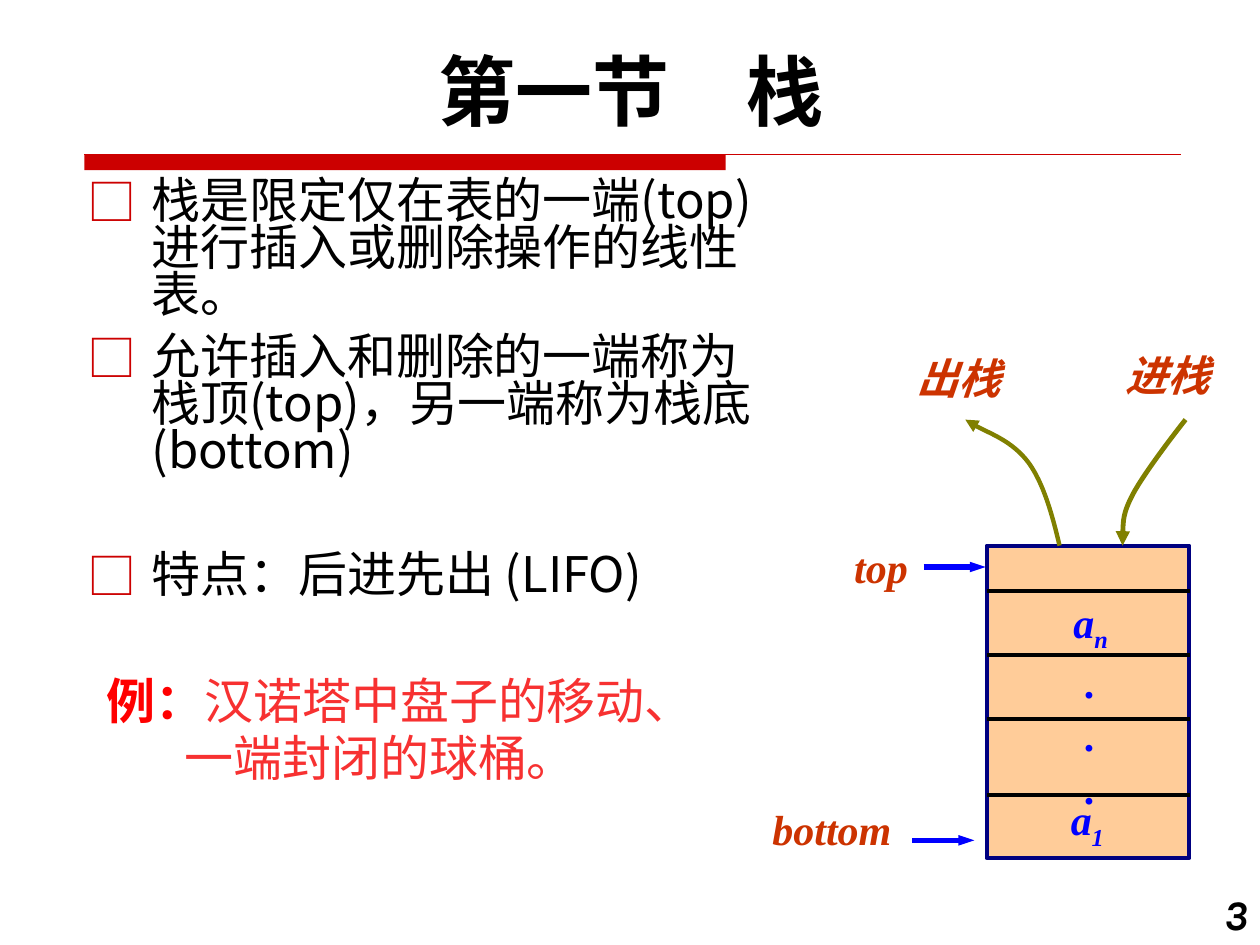
from lxml.etree import SubElement
from pptx import Presentation
from pptx.dml.color import RGBColor
from pptx.enum.shapes import MSO_CONNECTOR as Link, MSO_SHAPE as Kind
from pptx.enum.text import MSO_ANCHOR as Anchor, PP_ALIGN as Align
from pptx.oxml.ns import qn
from pptx.util import Cm, Pt

RED, INK, BLUE, RUST, OLIVE = "CC0000", "000000", "0000FF", "CC3300", "808000"
SANS, SERIF = "Noto Sans CJK SC", "Times New Roman"


def color(code):
    """Turn a hex string into a colour."""
    return RGBColor.from_string(code)


def place(shape, box):
    """Move a shape to a box given in centimetres."""
    shape.left, shape.top, shape.width, shape.height = map(Cm, box)


def write(frame, rows, size=24, font=SERIF, ink=INK, bold=False, slant=False,
          align=Align.LEFT, lead=None, gap=0, wrap=True):
    """Fill a frame with rows of (text, changes) runs and return its paragraphs."""
    frame.word_wrap = wrap
    for i, row in enumerate(rows):
        para = frame.paragraphs[0] if i == 0 else frame.add_paragraph()
        para.alignment, para.line_spacing = align, lead
        para.space_before = Pt(gap if i else 0)
        for text, change in row:
            run = para.add_run()
            run.text = text
            style = run.font
            style.size, style.italic = Pt(size), slant
            style.name = change.get("font", font)
            style.bold = change.get("bold", bold)
            style.color.rgb = color(change.get("ink", ink))
            if "base" in change:
                style._element.set("baseline", str(change["base"]))
    return frame.paragraphs


def label(slide, box, rows, **form):
    """Add a text box and write rows in it."""
    item = slide.shapes.add_textbox(*map(Cm, box))
    return write(item.text_frame, rows, **form)


def stroke(shape, ink, width, tip=None):
    """Set a line's colour and width, and an arrowhead at its end."""
    shape.line.color.rgb = color(ink)
    shape.line.width = Pt(width)
    if tip:
        SubElement(shape.line._get_or_add_ln(), qn("a:tailEnd"),
                   type="triangle", w=tip, len="med")


def line(slide, start, end, ink, width, tip=None):
    """Draw a straight line between two points."""
    item = slide.shapes.add_connector(Link.STRAIGHT, *map(Cm, start + end))
    SubElement(item._element.spPr, qn("a:effectLst"))
    stroke(item, ink, width, tip)


def block(slide, box, fill):
    """Add a plain filled rectangle."""
    item = slide.shapes.add_shape(Kind.RECTANGLE, *map(Cm, box))
    item.shadow.inherit = False
    item.fill.solid()
    item.fill.fore_color.rgb = color(fill)
    item.line.fill.background()
    return item


def curve(slide, points, ink, width):
    """Draw a chain of cubic curves that ends in an arrowhead."""
    spots = [(Cm(x), Cm(y)) for x, y in points]
    pen = slide.shapes.build_freeform(*spots[0])
    pen.add_line_segments(spots[1:], close=False)
    item = pen.convert_to_shape()
    item.shadow.inherit = False
    item.fill.background()
    path = next(item._element.iter(qn("a:path")))
    legs = path.findall(qn("a:lnTo"))
    for i in range(0, len(legs), 3):
        bend = SubElement(path, qn("a:cubicBezTo"))
        for leg in legs[i:i + 3]:
            bend.append(leg[0])
            path.remove(leg)
    stroke(item, ink, width, "med")


def head(slide, box):
    """Place the title and the rule under it."""
    x, y, wide, high = box
    title = slide.shapes.title
    place(title, box)
    title.text_frame.vertical_anchor = Anchor.MIDDLE
    write(title.text_frame, [[("第一节　栈", {})]], size=44, font="Karla",
          bold=True, align=Align.CENTER)
    left, top = x + 0.73, y + 2.38
    block(slide, (left, top, 12.93, 0.31), RED)
    line(slide, (left, top), (left + 22.1, top), RED, 0.75)


def points(slide, box):
    """Fill the body with the bulleted list."""
    body = slide.placeholders[1]
    place(body, box)
    texts = ["栈是限定仅在表的一端(top)进行插入或删除操作的线性表。",
             "允许插入和删除的一端称为栈顶(top)，另一端称为栈底(bottom)",
             "特点：后进先出 (LIFO)"]
    paras = write(body.text_frame, [[(text, {})] for text in texts], size=28,
                  font=SANS, lead=Pt(26.9), gap=8.4)
    for para in paras:
        prop = para._p.get_or_add_pPr()
        prop.set("marL", str(Cm(1.3)))
        prop.set("indent", str(Cm(-1.3)))
        tint = SubElement(prop, qn("a:buClr"))
        SubElement(tint, qn("a:srgbClr"), val=RED)
        SubElement(prop, qn("a:buFont"), typeface=SANS)
        SubElement(prop, qn("a:buChar"), char="□")
    paras[-1].space_before = Pt(44)


def sample(slide, box):
    """Place the example, its second line indented."""
    rows = [[("例：", {"font": SERIF, "ink": "FF0000", "bold": True}),
             ("汉诺塔中盘子的移动、", {})],
            [("一端封闭的球桶。", {})]]
    paras = label(slide, box, rows, size=28, font="Arial", ink="F73131",
                  lead=Pt(32.5))
    paras[1]._p.get_or_add_pPr().set("marL", str(Cm(1.57)))


def stack(slide, box):
    """Draw the stack with its cells, pointers and push and pop arrows."""
    x, y, wide, high = box
    form = dict(bold=True, slant=True, align=Align.CENTER, wrap=False)
    stroke(block(slide, box, "FFCC99"), "000080", 2.25)
    for drop in (0.91, 2.2, 3.5, 5.03):
        line(slide, (x, y + drop), (x + wide, y + drop), INK, 2.25)
    for start, drop in ((-1.27, 0.43), (-1.5, 5.94)):
        line(slide, (x + start, y + drop), (x + start + 1.25, y + drop),
             BLUE, 3, "sm")
    for text, left, drop, span in (("top", -2.97, -0.2, 1.68),
                                   ("bottom", -4.67, 5.08, 3.1),
                                   ("出栈", -1.66, -4.01, 2.2),
                                   ("进栈", 2.54, -4.07, 2.2)):
        label(slide, (x + left, y + drop, span, 1.27), [[(text, {})]],
              ink=RUST, **form)
    low = {"base": -25000}
    label(slide, (x + 1.04, y + 0.9, 2.11, 5.2),
          [[("a", {}), ("n", low)]] + [[(".", {})]] * 3,
          ink=BLUE, gap=1.5, **form)
    label(slide, (x + 1.42, y + 4.88, 1.22, 1.27), [[("a", {}), ("1", low)]],
          ink=BLUE, **form)
    pop = [(1.47, 0), (1.32, -0.64), (1.14, -1.27), (0.84, -1.68),
           (0.51, -2.11), (-0.18, -2.36), (-0.43, -2.54)]
    push = [(4.01, -2.54), (3.81, -2.29), (3.18, -1.47), (2.95, -1.04),
            (2.74, -0.64), (2.74, -0.3), (2.74, 0)]
    for track, width in ((pop, 2.5), (push, 2.75)):
        curve(slide, [(x + dx, y + dy) for dx, dy in track], OLIVE, width)


def main():
    """Build the slide and save it."""
    deck = Presentation()
    deck.slide_width, deck.slide_height = Cm(25.4), Cm(19.05)
    slide = deck.slides.add_slide(deck.slide_layouts[1])
    head(slide, (0.97, 0.74, 23.5, 2.13))
    points(slide, (1.5, 3.53, 14.6, 9.5))
    stack(slide, (19.89, 11, 4.09, 6.3))
    sample(slide, (1.9, 13.44, 13.08, 2.64))
    label(slide, (23.7, 17.78, 1.7, 1.27), [[("3", {})]], font="Karla",
          bold=True, slant=True, align=Align.RIGHT)
    deck.save("out.pptx")


if __name__ == "__main__":
    main()
